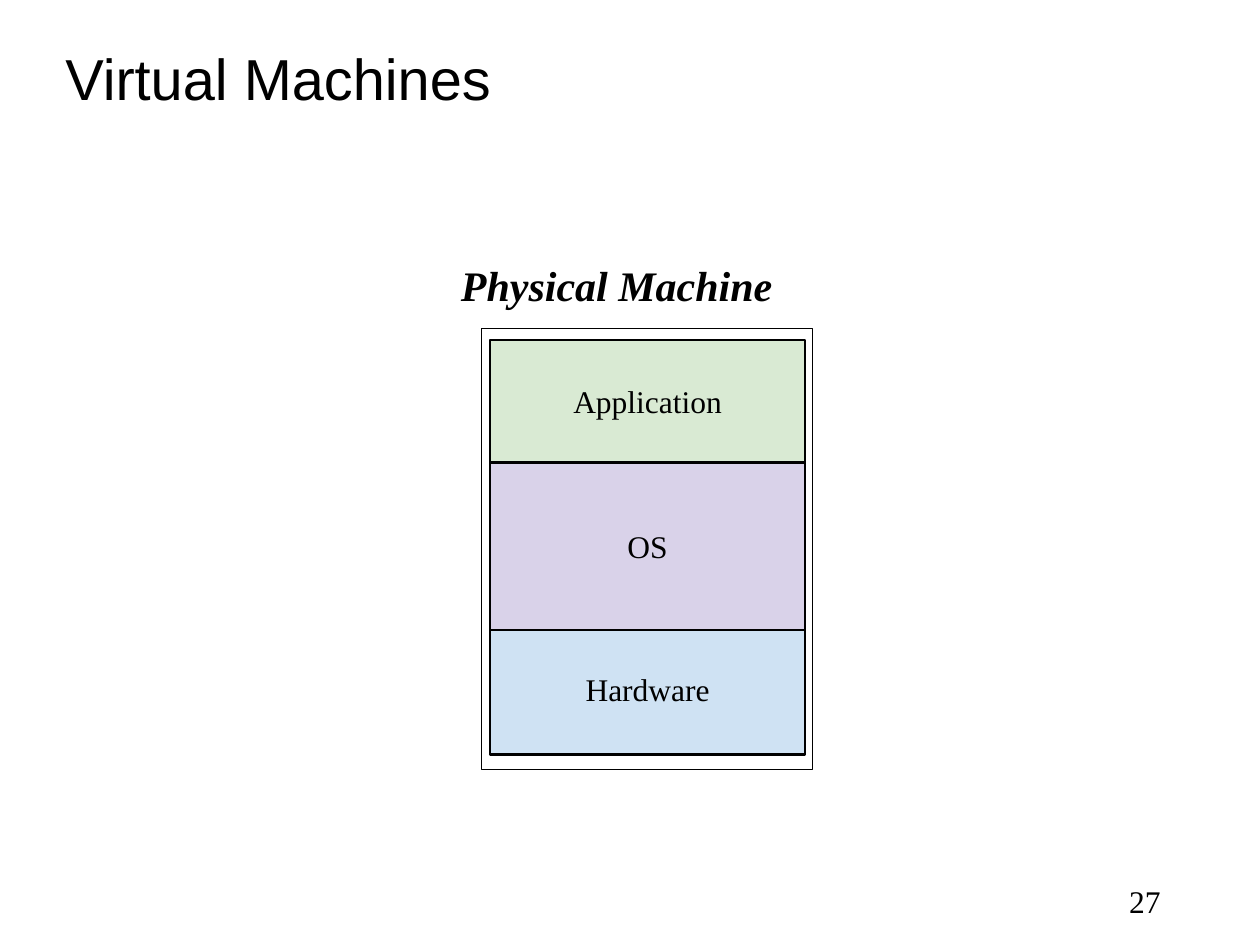
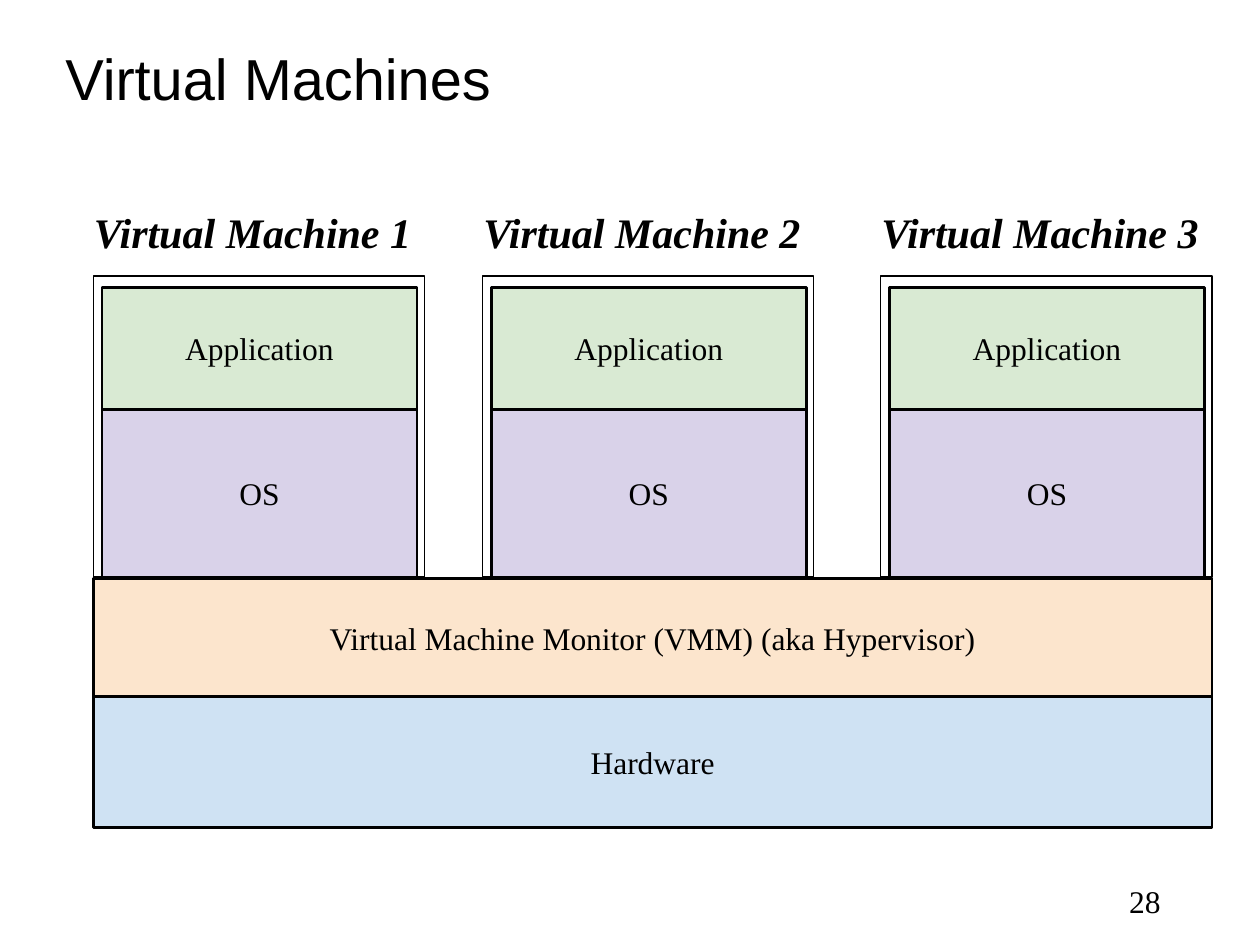
from pptx import Presentation
from pptx.dml.color import RGBColor
from pptx.enum.shapes import MSO_SHAPE
from pptx.enum.text import MSO_ANCHOR, PP_ALIGN
from pptx.util import Inches, Pt

COLORS = {
    "ink": "000000",
    "Application": "D9EAD3",
    "OS": "D9D2E9",
    "Hardware": "CFE2F3",
    "Monitor": "FCE5CD",
}
TITLE = {"name": "Arial", "size": Pt(33)}
BODY = {"name": "Times New Roman", "size": Pt(18)}
LABEL = {**BODY, "size": Pt(24), "bold": True, "italic": True}


class Deck:
    def __init__(self):
        self.prs = Presentation()
        self.prs.slide_width, self.prs.slide_height = Inches(10), Inches(7.5)
        self.s = None

    def slide(self, title, number):
        self.s = self.prs.slides.add_slide(self.prs.slide_layouts[6])
        self.text(title, 0.42, 0.3, 9, 0.7, TITLE, anchor=MSO_ANCHOR.MIDDLE,
                  inset=0.05, spacing=0.9)
        self.text(str(number), 7.06, 6.95, 2.25, 0.4, BODY, PP_ALIGN.RIGHT, inset=0.05)

    def set_text(self, sp, text, font, align, anchor, inset=0.1, spacing=None):
        """Fill a shape with one paragraph; inset is the top and bottom margin."""
        tf = sp.text_frame
        frame = {"word_wrap": True, "vertical_anchor": anchor,
                 "margin_left": Inches(0.1), "margin_right": Inches(0.1),
                 "margin_top": Inches(inset), "margin_bottom": Inches(inset)}
        for name, value in frame.items():
            setattr(tf, name, value)
        p = tf.paragraphs[0]
        p.alignment, p.line_spacing = align, spacing
        r = p.add_run()
        r.text = text
        for name, value in font.items():
            setattr(r.font, name, value)
        r.font.color.rgb = RGBColor.from_string(COLORS["ink"])

    def text(self, text, x, y, w, h, font, align=PP_ALIGN.LEFT,
             anchor=MSO_ANCHOR.TOP, **layout):
        sp = self.s.shapes.add_textbox(Inches(x), Inches(y), Inches(w), Inches(h))
        self.set_text(sp, text, font, align, anchor, **layout)

    def rect(self, x, y, w, h, line):
        sp = self.s.shapes.add_shape(
            MSO_SHAPE.RECTANGLE, Inches(x), Inches(y), Inches(w), Inches(h))
        sp.shadow.inherit = False
        sp.fill.background()
        sp.line.color.rgb = RGBColor.from_string(COLORS["ink"])
        sp.line.width = Pt(line)
        return sp

    def layer(self, text, x, y, w, h, color=None):
        sp = self.rect(x, y, w, h, 1.5)
        sp.fill.solid()
        sp.fill.fore_color.rgb = RGBColor.from_string(COLORS[color or text])
        self.set_text(sp, text, BODY, PP_ALIGN.CENTER, MSO_ANCHOR.MIDDLE)

    def machine(self, label, x, y, h, align=PP_ALIGN.CENTER):
        """Draw a labelled frame around an operating system and its application."""
        self.layer("OS", x + 0.07, y + 1.05, 2.5, 1.34)
        self.layer("Application", x + 0.07, y + 0.09, 2.5, 0.97)
        self.text(label, x - 0.26, y - 0.65, 3.05, 0.35, LABEL, align)
        self.rect(x, y, 2.63, h, 0.75)


def physical_machine(deck):
    deck.slide("Virtual Machines", 27)
    deck.layer("Hardware", 3.89, 4.95, 2.5, 1.04)
    deck.machine("Physical Machine", 3.82, 2.61, 3.5, PP_ALIGN.LEFT)


def virtual_machines(deck):
    deck.slide("Virtual Machines", 28)
    deck.layer("Hardware", 0.74, 5.53, 8.88, 1.04)
    deck.layer("Virtual Machine Monitor (VMM) (aka Hypervisor)",
               0.74, 4.59, 8.88, 0.94, "Monitor")
    for number, x in enumerate((0.74, 3.83, 6.99), 1):
        deck.machine(f"Virtual Machine {number}", x, 2.19, 2.39)


def main():
    deck = Deck()
    physical_machine(deck)
    virtual_machines(deck)
    deck.prs.save("out.pptx")


if __name__ == "__main__":
    main()
